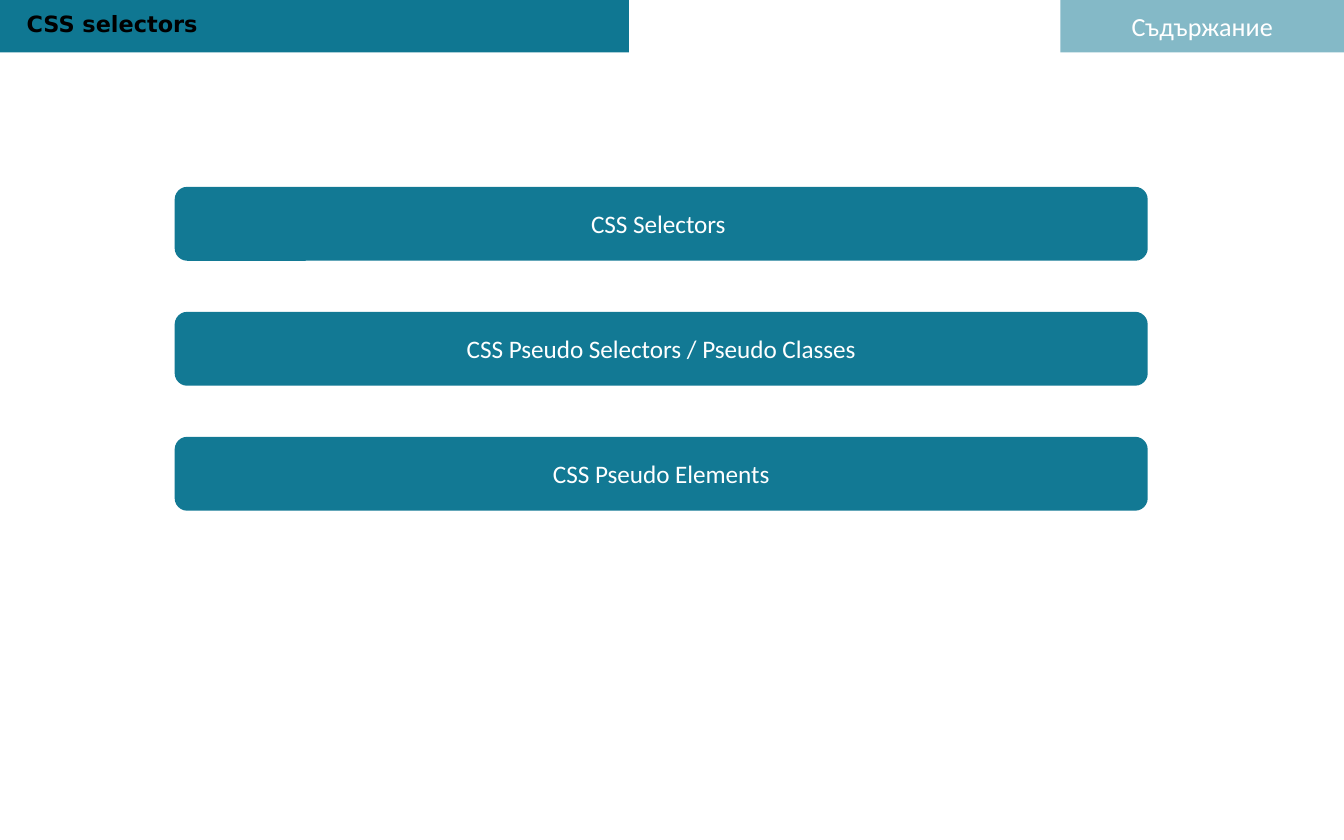
from dataclasses import dataclass

from pptx import Presentation
from pptx.dml.color import RGBColor
from pptx.enum.shapes import MSO_SHAPE as Shape
from pptx.enum.text import MSO_ANCHOR as Anchor, PP_ALIGN as Align
from pptx.oxml.ns import qn
from pptx.slide import Slide
from pptx.util import Inches, Pt

COLORS = {"header": "0F7792", "topic": "127994", "light": "FFFFFF", "dark": "000000"}
TOPICS = ["CSS Selectors ", "CSS Pseudo Selectors / Pseudo Classes", "CSS Pseudo Elements"]
TOPIC_TOP = 1.39
TOPIC_PITCH = 0.93


@dataclass
class Box:
    left: float
    top: float
    width: float
    height: float
    color: str
    text: str = ""
    size: float = 14
    opacity: int = 100
    rounding: float = 0


def add_box(slide: Slide, box: Box) -> None:
    kind = Shape.ROUNDED_RECTANGLE if box.rounding else Shape.RECTANGLE
    shape = slide.shapes.add_shape(
        kind, Inches(box.left), Inches(box.top), Inches(box.width), Inches(box.height)
    )
    shape.shadow.inherit = False
    shape.line.fill.background()
    shape.fill.solid()
    shape.fill.fore_color.rgb = RGBColor.from_string(COLORS[box.color])
    if box.rounding:
        shape.adjustments[0] = box.rounding
    if box.opacity < 100:
        color = shape._element.spPr.find(qn("a:solidFill"))[0]
        alpha = color.makeelement(qn("a:alpha"), {"val": str(box.opacity * 1000)})
        color.append(alpha)
    if box.text:
        shape.text_frame.vertical_anchor = Anchor.MIDDLE
        paragraph = shape.text_frame.paragraphs[0]
        paragraph.text = box.text
        paragraph.alignment = Align.CENTER
        paragraph.font.name = "Calibri"
        paragraph.font.size = Pt(box.size)
        paragraph.font.color.rgb = RGBColor.from_string(COLORS["light"])


def add_title(slide: Slide, text: str) -> None:
    title = slide.shapes.add_textbox(Inches(0.1), Inches(0.03), Inches(4.51), Inches(0.3))
    title.text_frame.word_wrap = True
    paragraph = title.text_frame.paragraphs[0]
    paragraph.text = text
    paragraph.font.name = "DejaVu Sans"
    paragraph.font.size = Pt(12)
    paragraph.font.bold = True
    paragraph.font.color.rgb = RGBColor.from_string(COLORS["dark"])


def main() -> None:
    presentation = Presentation()
    presentation.slide_width = Inches(10)
    presentation.slide_height = Inches(6.25)
    slide = presentation.slides.add_slide(presentation.slide_layouts[6])

    add_box(slide, Box(7.89, 0, 2.11, 0.39, "header", "Съдържание", opacity=51))
    add_box(slide, Box(0, 0, 4.68, 0.39, "header"))
    add_title(slide, "CSS selectors")
    for index, topic in enumerate(TOPICS):
        top = TOPIC_TOP + index * TOPIC_PITCH
        add_box(slide, Box(1.3, top, 7.24, 0.55, "topic", topic, 13.5, rounding=0.17))

    presentation.save("out.pptx")


if __name__ == "__main__":
    main()
